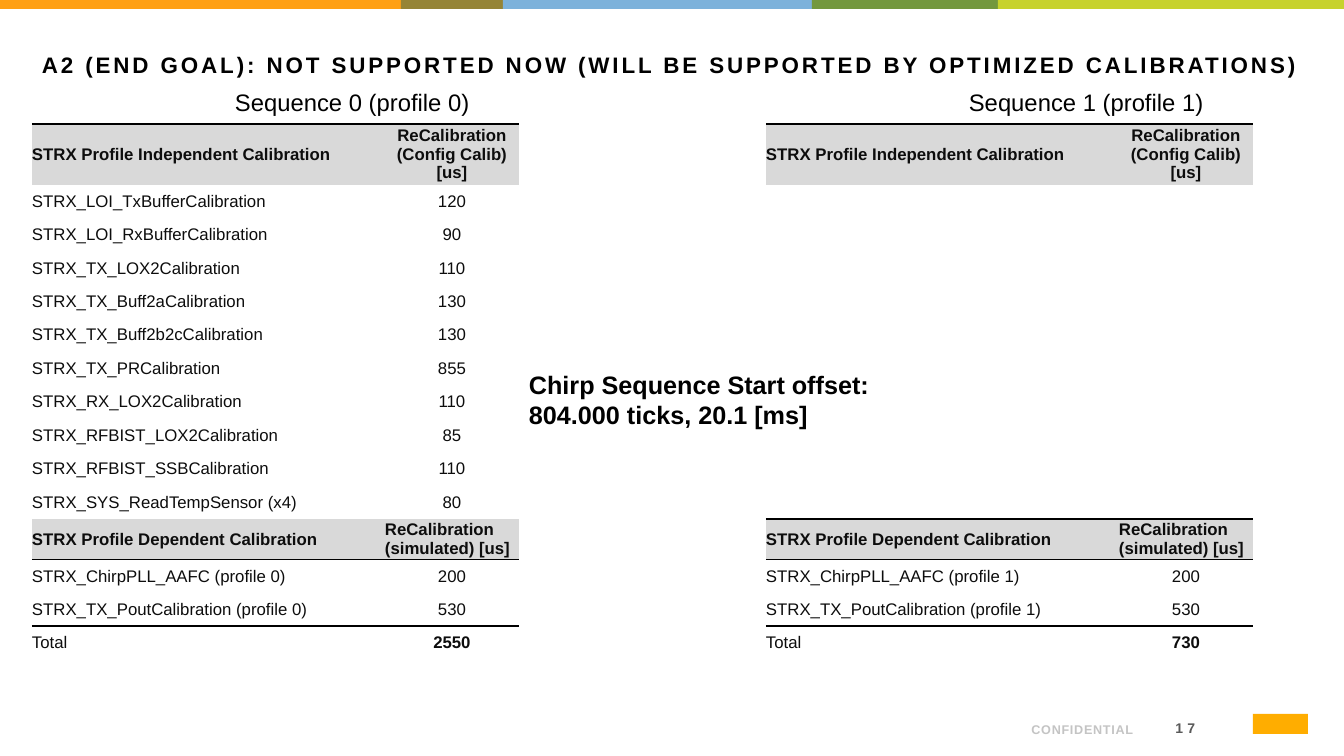
from lxml import etree
from pptx import Presentation
from pptx import util as u
from pptx.dml.color import RGBColor
from pptx.enum import shapes, text
from pptx.oxml.ns import qn

PX = 914400 / 100.8
COLORS = {
    "black": "000000", "ink": "0D0D0D", "white": "FFFFFF", "header": "D9D9D9",
    "page": "595959", "confidential": "C4C4C4", "orange": "FFA015",
    "brown": "958436", "blue": "7DB2DB", "green": "73983E", "lime": "C7D22D",
    "mark": "FFAD00",
}
LEFT, CENTER, RIGHT = text.PP_ALIGN.LEFT, text.PP_ALIGN.CENTER, text.PP_ALIGN.RIGHT
TOP, MIDDLE, BOTTOM = (text.MSO_ANCHOR.TOP, text.MSO_ANCHOR.MIDDLE,
                       text.MSO_ANCHOR.BOTTOM)

INDEPENDENT = [
    ("STRX_LOI_TxBufferCalibration", "120"),
    ("STRX_LOI_RxBufferCalibration", "90"),
    ("STRX_TX_LOX2Calibration", "110"),
    ("STRX_TX_Buff2aCalibration", "130"),
    ("STRX_TX_Buff2b2cCalibration", "130"),
    ("STRX_TX_PRCalibration", "855"),
    ("STRX_RX_LOX2Calibration", "110"),
    ("STRX_RFBIST_LOX2Calibration", "85"),
    ("STRX_RFBIST_SSBCalibration", "110"),
    ("STRX_SYS_ReadTempSensor (x4)", "80"),
]
NOT_REPEATED = [("", "")] * len(INDEPENDENT)


def px(length):
    return u.Emu(round(length * PX))


def rgb(name):
    return RGBColor.from_string(COLORS[name])


def write(frame, content, size=12, color="ink", bold=False, align=LEFT, spacing=0):
    """Fill a text frame, one paragraph for each line of content."""
    frame.word_wrap = True
    for i, line in enumerate(content.split("\n")):
        paragraph = frame.paragraphs[0] if i == 0 else frame.add_paragraph()
        paragraph.alignment = align
        run = paragraph.add_run()
        run.text = line
        run.font.name = "Arial"
        run.font.size = u.Pt(size)
        run.font.bold = bold
        run.font.color.rgb = rgb(color)
        if spacing:
            run.font._element.set("spc", str(round(spacing * 100)))


def add_text(slide, box, content, anchor=TOP, **style):
    frame = slide.shapes.add_textbox(*map(px, box)).text_frame
    frame.vertical_anchor = anchor
    write(frame, content, **style)


def add_block(slide, box, color):
    block = slide.shapes.add_shape(shapes.MSO_SHAPE.RECTANGLE, *map(px, box))
    block.shadow.inherit = False
    block.fill.solid()
    block.fill.fore_color.rgb = rgb(color)
    block.line.fill.background()


def set_borders(cell, top=0, bottom=0):
    """Draw the top and bottom edges at the given points; 0 means no line."""
    properties = cell._tc.get_or_add_tcPr()
    for side, points in (("L", 0), ("R", 0), ("T", top), ("B", bottom)):
        line = etree.SubElement(properties, qn(f"a:ln{side}"), w=str(u.Pt(points)))
        if points:
            fill = etree.SubElement(line, qn("a:solidFill"))
            etree.SubElement(fill, qn("a:srgbClr"), val=COLORS["black"])
        else:
            etree.SubElement(line, qn("a:noFill"))


def add_color_bar(slide, box):
    left, top, width, height = box
    names = ["orange", "brown", "blue", "green", "lime"]
    edges = [0, 401, 503, 812, 998, width]
    for name, start, end in zip(names, edges, edges[1:]):
        add_block(slide, (left + start, top, end - start, height), name)


def add_calibrations(slide, box, profile, independent, total, divider=0):
    """Sequence heading and its calibration table."""
    left, top, width, height = box
    add_text(slide, (left + 193, top, 280, 37),
             f"Sequence {profile} (profile {profile})", size=17, color="black")

    rows = [
        ("STRX Profile Independent Calibration", "ReCalibration\n(Config Calib) [us]"),
        *independent,
        ("STRX Profile Dependent Calibration", "ReCalibration\n(simulated) [us]"),
        (f"STRX_ChirpPLL_AAFC (profile {profile})", "200"),
        (f"STRX_TX_PoutCalibration (profile {profile})", "530"),
        ("Total", total),
    ]
    dependent = len(independent) + 1
    last = len(rows) - 1
    # Lines below a row, in points; the next row shares each of them
    rules = {-1: 2, dependent - 1: divider, dependent: 1, last - 1: 1.5}
    heights = {0: 56, dependent: 37}
    row_height = (height - 41 - sum(heights.values())) / (len(rows) - len(heights))

    table = slide.shapes.add_table(len(rows), 2, px(left), px(top + 41),
                                   px(width), px(height - 41)).table
    table.first_row = table.horz_banding = False
    table.columns[0].width = px(353)
    table.columns[1].width = px(width - 353)
    for r, row in enumerate(rows):
        table.rows[r].height = px(heights.get(r, row_height))
        heading = r in heights
        for c, content in enumerate(row):
            cell = table.cell(r, c)
            cell.margin_left = cell.margin_right = 0
            cell.margin_top = cell.margin_bottom = 0
            cell.vertical_anchor = MIDDLE
            set_borders(cell, top=rules.get(r - 1, 0), bottom=rules.get(r, 0))
            cell.fill.solid()
            cell.fill.fore_color.rgb = rgb("header" if heading else "white")
            if content:
                centered = c == 1 and r != dependent
                write(cell.text_frame, content,
                      bold=heading or (r == last and c == 1),
                      align=CENTER if centered else LEFT)


def add_footer(slide, box):
    left, top, width, height = box
    add_text(slide, (left, top, 285, height), "CONFIDENTIAL", anchor=BOTTOM,
             size=9, color="confidential", bold=True, align=RIGHT, spacing=0.5)
    add_text(slide, (left + 279, top + 5, 68, 30), "17", anchor=MIDDLE,
             size=10, color="page", bold=True, align=RIGHT, spacing=3)
    # Plain block in the logo's place
    add_block(slide, (left + width - 55, top + 6, 55, 20), "mark")


def main():
    deck = Presentation()
    deck.slide_width, deck.slide_height = px(1344), px(756)
    slide = deck.slides.add_slide(deck.slide_layouts[6])

    add_color_bar(slide, (0, 0, 1344, 9))
    add_text(slide, (32, 46, 1300, 37),
             "A2 (END GOAL): NOT SUPPORTED NOW "
             "(WILL BE SUPPORTED BY OPTIMIZED CALIBRATIONS)",
             size=16, color="black", bold=True, spacing=2.1)

    # The two sequences
    add_calibrations(slide, (32, 83, 487, 569), 0, INDEPENDENT, "2550")
    add_calibrations(slide, (766, 83, 487, 569), 1, NOT_REPEATED, "730", divider=1)

    # Offset between the sequences
    add_text(slide, (519, 364, 370, 72),
             "Chirp Sequence Start offset:\n804.000 ticks, 20.1 [ms]",
             size=18, color="black", bold=True)

    add_footer(slide, (858, 708, 450, 34))
    deck.save("out.pptx")


if __name__ == "__main__":
    main()
